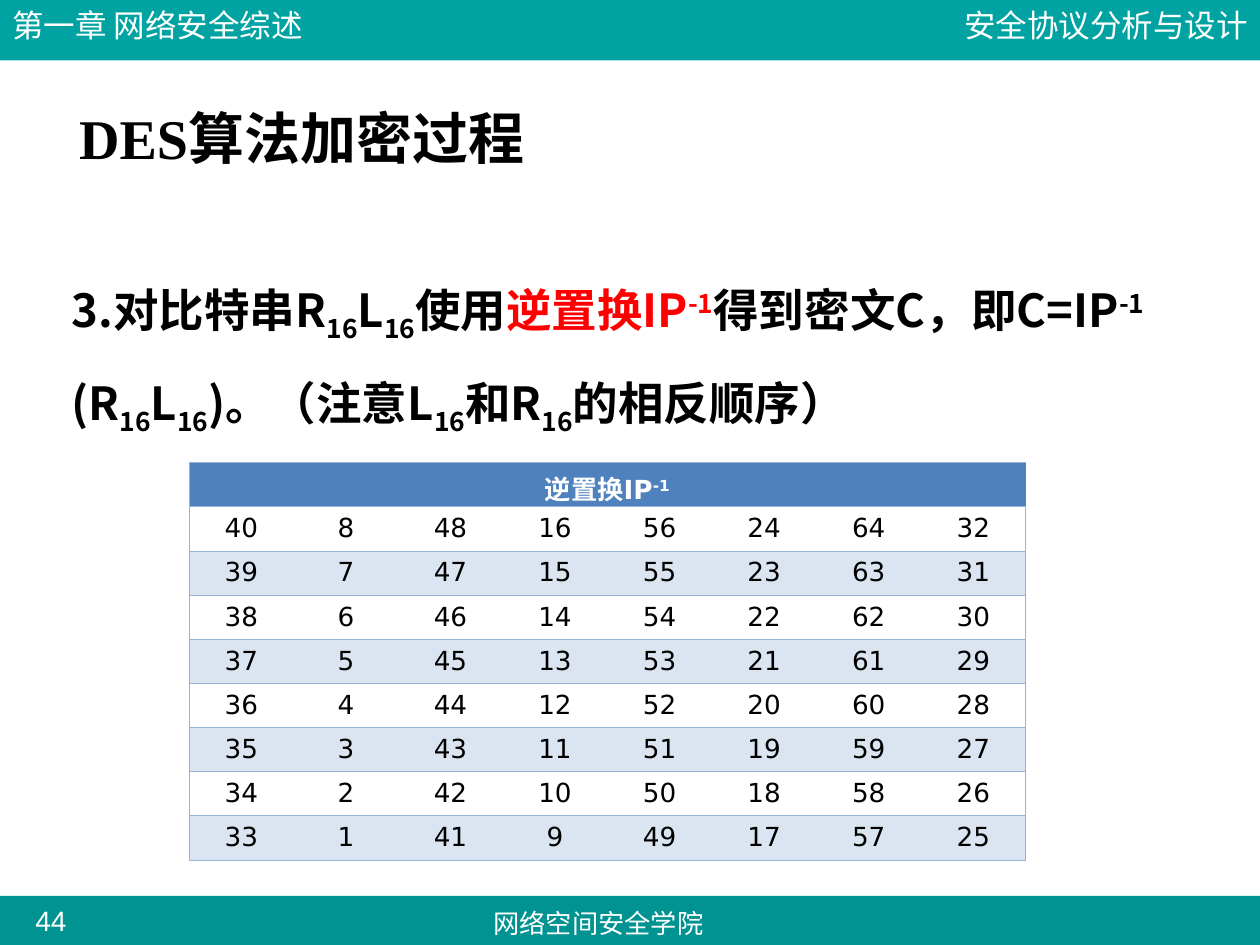
from lxml import etree
from pptx import Presentation
from pptx import util as u
from pptx.dml.color import RGBColor
from pptx.enum import shapes, text
from pptx.oxml import ns

HEADER_TEAL = RGBColor(0x00, 0xA3, 0xA1)
FOOTER_TEAL = RGBColor(0x00, 0x93, 0x91)
WHITE = RGBColor(0xFF, 0xFF, 0xFF)
BLACK = RGBColor(0x00, 0x00, 0x00)
RED = RGBColor(0xFF, 0x00, 0x00)
TABLE_BLUE = RGBColor(0x4F, 0x81, 0xBD)
BAND_BLUE = RGBColor(0xDB, 0xE5, 0xF1)
RULE_BLUE = RGBColor(0x95, 0xB3, 0xD7)

CJK_FONT = "Noto Sans CJK SC"
PLAIN_TABLE = "{2D5ABB26-0587-4C30-8999-92F81FD0307C}"
SUB, SUPER = -25, 30


def add_span(para, words, size, font, color, bold=False, baseline=0):
    span = para.add_run()
    span.text = words
    span.font.size = u.Pt(size)
    span.font.name = font
    span.font.bold = bold
    span.font.color.rgb = color
    properties = span._r.get_or_add_rPr()
    east_asian = etree.SubElement(properties, ns.qn("a:ea"))
    east_asian.set("typeface", CJK_FONT)
    if baseline:
        properties.set("baseline", str(baseline * 1000))


def add_text_box(page, left, top, width, height, inset=True, grow=False):
    box = page.shapes.add_textbox(
        u.Inches(left), u.Inches(top), u.Inches(width), u.Inches(height)
    )
    frame = box.text_frame
    frame.word_wrap = True
    frame.margin_left = frame.margin_right = u.Inches(0.1 if inset else 0)
    frame.margin_top = frame.margin_bottom = u.Inches(0.05 if inset else 0)
    if grow:
        frame.auto_size = text.MSO_AUTO_SIZE.SHAPE_TO_FIT_TEXT
    return frame.paragraphs[0]


def add_bar(page, left, top, width, height, color):
    bar = page.shapes.add_shape(
        shapes.MSO_SHAPE.RECTANGLE,
        u.Inches(left), u.Inches(top), u.Inches(width), u.Inches(height),
    )
    bar.shadow.inherit = False
    bar.fill.solid()
    bar.fill.fore_color.rgb = color
    bar.line.fill.background()


def add_header(page, left, top, width, height):
    add_bar(page, left, top, width, height, HEADER_TEAL)
    label_width = 3.08
    labels = [
        (left, "第一章 网络安全综述", text.PP_ALIGN.LEFT),
        (left + width - label_width, "安全协议分析与设计", text.PP_ALIGN.RIGHT),
    ]
    for label_left, words, alignment in labels:
        para = add_text_box(page, label_left, top, label_width, 0.4, grow=True)
        para.alignment = alignment
        add_span(para, words, 18, "Arial", WHITE)


def add_footer(page, left, top, width, height):
    add_bar(page, left, top, width, height, FOOTER_TEAL)
    school = add_text_box(page, left + 3.58, top + 0.04, 2.34, 0.35, grow=True)
    number = add_text_box(
        page, left + 0.14, top + 0.06, 0.53, 0.27, inset=False, grow=True
    )
    for para, words, size in [(school, "网络空间安全学院", 15), (number, "44", 16)]:
        para.alignment = text.PP_ALIGN.CENTER
        add_span(para, words, size, "Arial", WHITE)


def add_title(page, left, top, width, height):
    para = add_text_box(page, left, top, width, height)
    para.line_spacing = 0.9
    add_span(para, "DES算法加密过程", 32, "Times New Roman", BLACK, bold=True)


def add_step(page, left, top, width, height):
    para = add_text_box(page, left, top, width, height)
    para.line_spacing = 1.5
    pieces = [
        ("3.对比特串R", BLACK, 0), ("16", BLACK, SUB),
        ("L", BLACK, 0), ("16", BLACK, SUB),
        ("使用", BLACK, 0), ("逆置换IP", RED, 0), ("-1", RED, SUPER),
        ("得到密文C，即C=IP", BLACK, 0), ("-1 ", BLACK, SUPER),
        ("(R", BLACK, 0), ("16", BLACK, SUB),
        ("L", BLACK, 0), ("16", BLACK, SUB),
        (")。（注意L", BLACK, 0), ("16", BLACK, SUB),
        ("和R", BLACK, 0), ("16", BLACK, SUB),
        ("的相反顺序）", BLACK, 0),
    ]
    for words, color, baseline in pieces:
        add_span(para, words, 26, CJK_FONT, color, True, baseline)


def add_border(cell, side):
    line = etree.SubElement(cell._tc.get_or_add_tcPr(), ns.qn(f"a:ln{side}"))
    line.set("w", str(u.Pt(0.23)))
    fill = etree.SubElement(line, ns.qn("a:solidFill"))
    etree.SubElement(fill, ns.qn("a:srgbClr")).set("val", str(RULE_BLUE))


def style_cell(cell, sides, color):
    cell.vertical_anchor = text.MSO_ANCHOR.MIDDLE
    cell.margin_left = cell.margin_right = u.Inches(0.01)
    cell.margin_top = cell.margin_bottom = u.Inches(0.05)
    for side in sides:
        add_border(cell, side)
    if color is None:
        cell.fill.background()
    else:
        cell.fill.solid()
        cell.fill.fore_color.rgb = color
    para = cell.text_frame.paragraphs[0]
    para.alignment = text.PP_ALIGN.CENTER
    return para


def add_permutation_table(page, left, top, width, height):
    first_row = [40, 8, 48, 16, 56, 24, 64, 32]
    size = len(first_row)
    row_height = 0.28
    table = page.shapes.add_table(
        size + 1, size,
        u.Inches(left), u.Inches(top), u.Inches(width), u.Inches(height),
    ).table
    table.first_row = table.horz_banding = False
    table._tbl.tblPr.find(ns.qn("a:tableStyleId")).text = PLAIN_TABLE
    for column in table.columns:
        column.width = u.Inches(width / size)
    for row in table.rows:
        row.height = u.Inches(row_height)
    table.rows[0].height = u.Inches(height - size * row_height)

    heading = table.cell(0, 0)
    heading.merge(table.cell(0, size - 1))
    para = style_cell(heading, "LTB", TABLE_BLUE)
    for words, baseline in [("逆置换IP", 0), ("-1", SUPER)]:
        add_span(para, words, 15, "DejaVu Sans", WHITE, True, baseline)

    for step in range(size):
        color = BAND_BLUE if step % 2 else None
        for column, start in enumerate(first_row):
            sides = {0: "LTB", size - 1: "RTB"}.get(column, "TB")
            para = style_cell(table.cell(step + 1, column), sides, color)
            add_span(para, str(start - step), 15, "DejaVu Sans", BLACK)


def main():
    deck = Presentation()
    deck.slide_width, deck.slide_height = u.Inches(10), u.Inches(7.5)
    page = deck.slides.add_slide(deck.slide_layouts[6])
    add_footer(page, 0, 7.11, 10, 0.39)
    add_header(page, 0, 0, 10, 0.48)
    add_title(page, 0.53, 0.83, 9.02, 0.67)
    add_permutation_table(page, 1.5, 3.67, 6.64, 2.55)
    add_step(page, 0.47, 1.94, 9.08, 1.64)
    deck.save("out.pptx")


if __name__ == "__main__":
    main()
